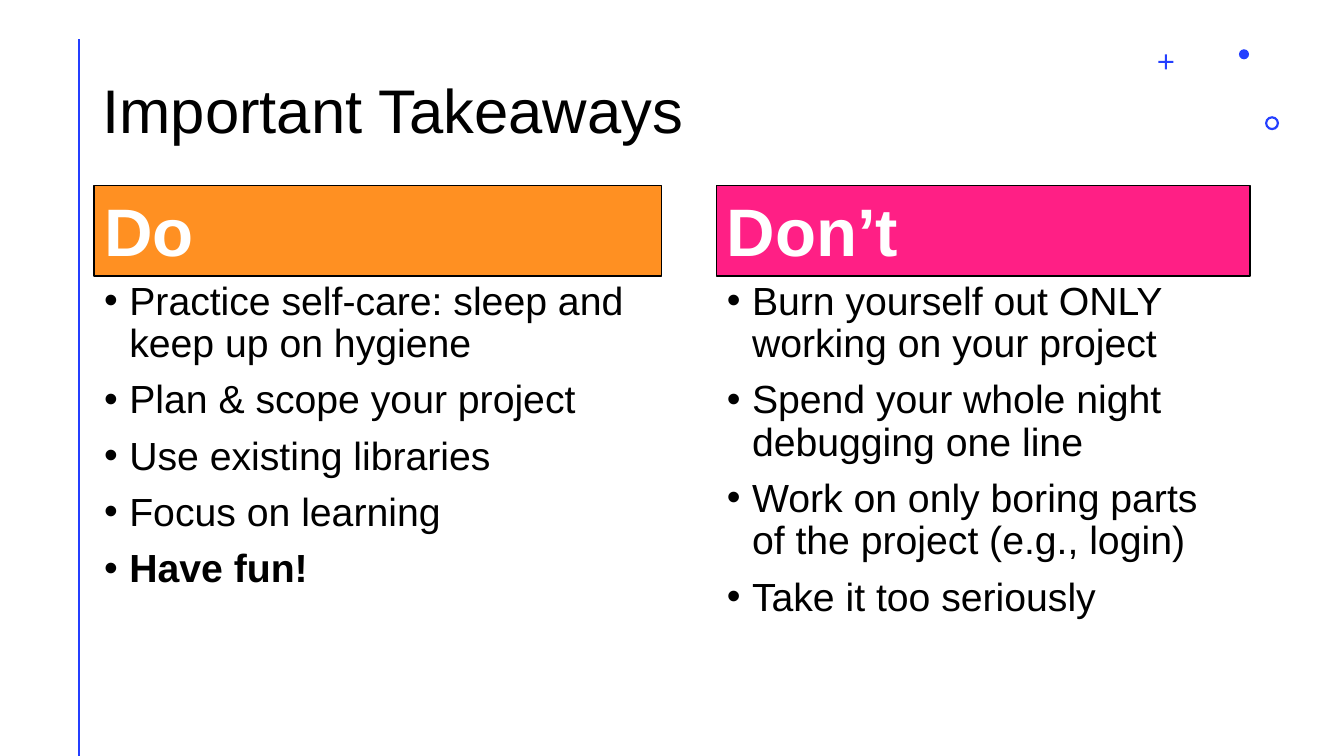
from lxml.etree import SubElement
from pptx import Presentation
from pptx.dml.color import RGBColor
from pptx.enum.shapes import MSO_CONNECTOR, MSO_SHAPE
from pptx.enum.text import MSO_ANCHOR, MSO_AUTO_SIZE, PP_ALIGN
from pptx.oxml.ns import qn
from pptx.util import Pt

COLORS = {
    "accent": "243FFF",
    "do": "FF9022",
    "dont": "FF1F85",
    "text": "000000",
    "light": "FFFFFF",
}
FONT = "Arial"
HEADER_TOP, HEADER_HEIGHT = 132.5, 64.8
LIST_HEIGHT = 290.2


def color(name):
    return RGBColor.from_string(COLORS[name])


def place(box, left, top, width, height):
    box.left, box.top, box.width, box.height = Pt(left), Pt(top), Pt(width), Pt(height)


def write(box, lines, size, ink, anchor, bold=False):
    frame = box.text_frame
    frame.text = "\n".join(lines)
    frame.word_wrap = True
    frame.auto_size = MSO_AUTO_SIZE.NONE
    frame.vertical_anchor = anchor
    for index, para in enumerate(frame.paragraphs):
        para.alignment = PP_ALIGN.LEFT
        para.line_spacing = 0.9
        para.space_before = Pt(10 if index else 0)
        for span in para.runs:
            span.font.name = FONT
            span.font.size = Pt(size)
            span.font.bold = bold
            span.font.color.rgb = color(ink)


def add_bullet(para):
    properties = para._p.get_or_add_pPr()
    properties.set("marL", str(Pt(18)))
    properties.set("indent", str(-Pt(18)))
    SubElement(properties, qn("a:buFont")).set("typeface", FONT)
    SubElement(properties, qn("a:buChar")).set("char", "•")


def fill_column(header, bullets, left, width, heading, fill, items):
    place(header, left, HEADER_TOP, width, HEADER_HEIGHT)
    header.fill.solid()
    header.fill.fore_color.rgb = color(fill)
    header.line.color.rgb = color("text")
    header.line.width = Pt(1)
    write(header, [heading], 48, "light", MSO_ANCHOR.BOTTOM, bold=True)

    place(bullets, left, HEADER_TOP + HEADER_HEIGHT, width, LIST_HEIGHT)
    write(bullets, items, 28, "text", MSO_ANCHOR.TOP)
    for para in bullets.text_frame.paragraphs:
        add_bullet(para)


def add_side_rule(page):
    rule = page.shapes.add_connector(
        MSO_CONNECTOR.STRAIGHT, Pt(56.4), Pt(28), Pt(56.4), Pt(540)
    )
    rule.line.color.rgb = color("accent")
    rule.line.width = Pt(2)
    SubElement(rule._element.spPr, qn("a:effectLst"))


def add_ornament(page, kind, left, top, size, adjustment=None):
    ornament = page.shapes.add_shape(kind, Pt(left), Pt(top), Pt(size), Pt(size))
    ornament.shadow.inherit = False
    ornament.fill.solid()
    ornament.fill.fore_color.rgb = color("accent")
    ornament.line.fill.background()
    if adjustment is not None:
        ornament.adjustments[0] = adjustment


def main():
    deck = Presentation()
    deck.slide_width, deck.slide_height = Pt(960), Pt(540)
    page = deck.slides.add_slide(deck.slide_layouts.get_by_name("Comparison"))
    title, do_header, do_list, dont_header, dont_list = page.placeholders

    add_side_rule(page)
    add_ornament(page, MSO_SHAPE.CROSS, 827.4, 38.8, 10.8, 0.43)
    add_ornament(page, MSO_SHAPE.DONUT, 903.6, 83, 10, 0.16)
    add_ornament(page, MSO_SHAPE.OVAL, 885, 35.2, 7.2)

    place(title, 66, 28.8, 828, 104.4)
    write(title, ["Important Takeaways"], 44, "text", MSO_ANCHOR.MIDDLE)

    fill_column(do_header, do_list, 67.2, 405.4, "Do", "do", [
        "Practice self-care: sleep and keep up on hygiene",
        "Plan & scope your project",
        "Use existing libraries",
        "Focus on learning",
        "Have fun!",
    ])
    do_list.text_frame.paragraphs[-1].runs[0].font.bold = True

    fill_column(dont_header, dont_list, 512, 381, "Don’t", "dont", [
        "Burn yourself out ONLY working on your project",
        "Spend your whole night debugging one line",
        "Work on only boring parts of the project (e.g., login)",
        "Take it too seriously",
    ])

    deck.save("out.pptx")


if __name__ == "__main__":
    main()
